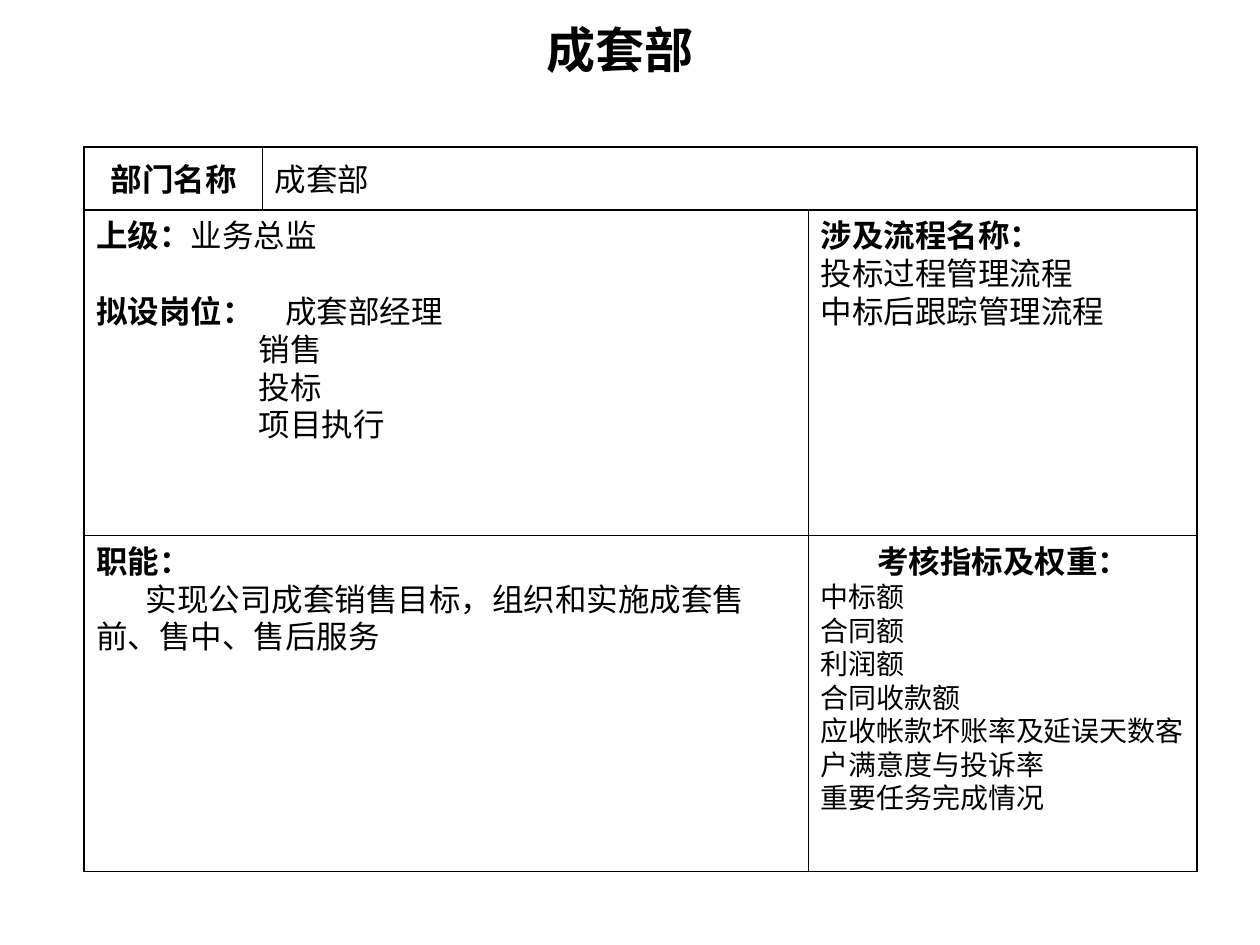
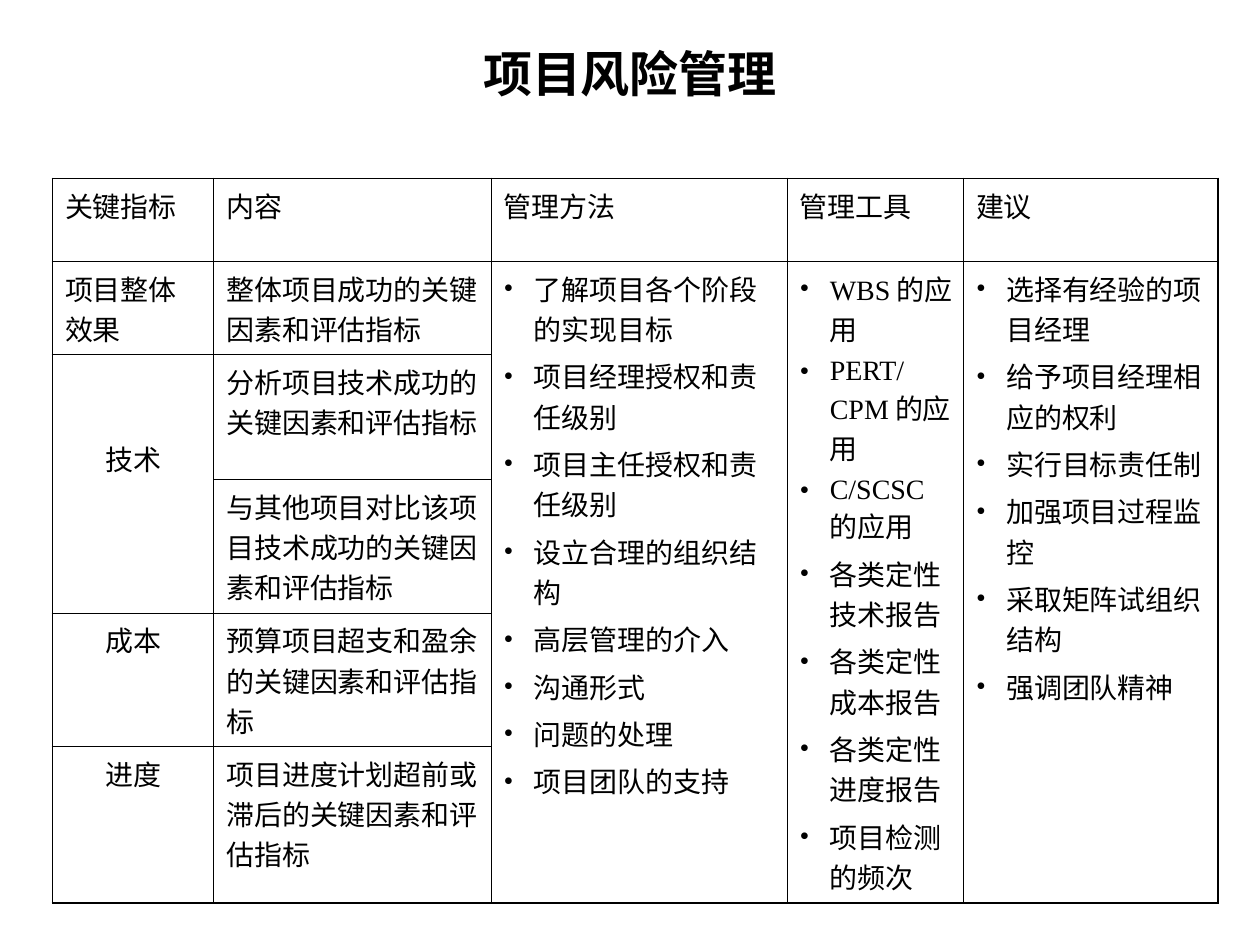
from lxml import etree
from pptx import Presentation
from pptx import util as u
from pptx.dml.color import RGBColor
from pptx.enum import shapes, text
from pptx.oxml import ns

Inches, Pt = u.Inches, u.Pt
BLACK = RGBColor(0, 0, 0)
WHITE = RGBColor(255, 255, 255)
SERIF, SANS = "Times New Roman", "Noto Sans CJK SC"
START, CENTER = text.PP_ALIGN.LEFT, text.PP_ALIGN.CENTER
TOP, MIDDLE = text.MSO_ANCHOR.TOP, text.MSO_ANCHOR.MIDDLE

DEPARTMENT_TITLE = ("成套部", SANS, (0.67, 0.1, 8.5, 0.57))
RISK_TITLE = ("项目风险管理", SERIF, (0.75, 0.33, 8.5, 0.5))

GRID = 1 / 12
LEFT, NAME_LEFT, SIDE_LEFT, RIGHT = (step * GRID for step in (8, 25, 77, 114))
CARD_TOP, BODY_TOP, DUTY_TOP, CARD_BOTTOM = (step * GRID for step in (14, 20, 51, 83))

POSITIONS = ["销售", "投标", "项目执行"]
PROCESSES = ["投标过程管理流程", "中标后跟踪管理流程"]
INDICATORS = ["中标额", "合同额", "利润额", "合同收款额",
              "应收帐款坏账率及延误天数客户满意度与投诉率", "重要任务完成情况"]

CARD_BOXES = [
    (LEFT, CARD_TOP, NAME_LEFT, BODY_TOP, MIDDLE,
     [{"runs": [("部门名称", True)], "align": CENTER}]),
    (NAME_LEFT, CARD_TOP, RIGHT, BODY_TOP, MIDDLE,
     [{"runs": [("成套部", False)]}]),
    (LEFT, DUTY_TOP, SIDE_LEFT, CARD_BOTTOM, TOP,
     [{"runs": [("职能：", True)]},
      {"runs": [("实现公司成套销售目标，组织和实施成套售前、售中、售后服务", False)],
       "indent": 0.39}]),
    (SIDE_LEFT, DUTY_TOP, RIGHT, CARD_BOTTOM, TOP,
     [{"runs": [("考核指标及权重：", True)], "align": CENTER}]
     + [{"runs": [(indicator, False)], "size": 16, "font": SANS} for indicator in INDICATORS]),
    (LEFT, BODY_TOP, SIDE_LEFT, DUTY_TOP, TOP,
     [{"runs": [("上级：", True), ("业务总监", False)]},
      {"runs": [("拟设岗位：", True), ("\t成套部经理", False)], "before": 21.7, "tab": 1.42}]
     + [{"runs": [(position, False)], "margin": 1.29} for position in POSITIONS]),
    (SIDE_LEFT, BODY_TOP, RIGHT, DUTY_TOP, TOP,
     [{"runs": [("涉及流程名称：", True)]}]
     + [{"runs": [(process, False)]} for process in PROCESSES]),
]

TABLE_LEFT, TABLE_TOP = 5 * GRID, 17 * GRID
COLUMN_WIDTHS = [1.28, 2.2, 2.35, 1.4, 2.02]
ROW_HEIGHTS = [0.66, 0.74, 0.99, 1.06, 1.06, 1.24]
HEADERS = ["关键指标", "内容", "管理方法", "管理工具", "建议"]
KEY_INDICATORS = {1: "项目整体效果", 2: "技术", 4: "成本", 5: "进度"}
CONTENTS = ["整体项目成功的关键因素和评估指标", "分析项目技术成功的关键因素和评估指标",
            "与其他项目对比该项目技术成功的关键因素和评估指标",
            "预算项目超支和盈余的关键因素和评估指标", "项目进度计划超前或滞后的关键因素和评估指标"]
BULLET_LISTS = {
    2: ["了解项目各个阶段的实现目标", "项目经理授权和责任级别", "项目主任授权和责任级别",
        "设立合理的组织结构", "高层管理的介入", "沟通形式", "问题的处理", "项目团队的支持"],
    3: ["WBS的应用", "PERT/CPM的应用", "C/SCSC的应用", "各类定性技术报告",
        "各类定性成本报告", "各类定性进度报告", "项目检测的频次"],
    4: ["选择有经验的项目经理", "给予项目经理相应的权利", "实行目标责任制",
        "加强项目过程监控", "采取矩阵试组织结构", "强调团队精神"],
}


def add_child(parent, tag, **attributes):
    return etree.SubElement(parent, ns.qn(tag), **attributes)


def add_run(paragraph, words, size, font=SERIF, bold=False):
    run = paragraph.add_run()
    run.text = words
    run.font.size = Pt(size)
    run.font.bold = bold
    run.font.color.rgb = BLACK
    run.font.name = font
    add_child(run.font._element, "a:ea", typeface=SANS)


def set_indent(paragraph, margin, indent):
    properties = paragraph._p.get_or_add_pPr()
    properties.set("marL", str(Inches(margin)))
    properties.set("indent", str(Inches(indent)))
    properties.set("hangingPunct", "0")
    return properties


def add_title(slide, words, font, place):
    frame = slide.shapes.add_textbox(*map(Inches, place)).text_frame
    frame.word_wrap = True
    frame.vertical_anchor = MIDDLE
    frame.paragraphs[0].alignment = CENTER
    add_run(frame.paragraphs[0], words, 28, font, True)


def add_box(slide, left, top, right, bottom):
    box = slide.shapes.add_shape(shapes.MSO_SHAPE.RECTANGLE, Inches(left), Inches(top),
                                 Inches(right - left), Inches(bottom - top))
    box.shadow.inherit = False
    box.fill.solid()
    box.fill.fore_color.rgb = WHITE
    box.line.color.rgb = BLACK
    box.line.width = Pt(0.75)
    return box


def fill_box(box, anchor, items):
    frame = box.text_frame
    frame.word_wrap = anchor == TOP
    frame.vertical_anchor = anchor
    frame.margin_right = Inches(0.09)
    for index, item in enumerate(items):
        paragraph = frame.add_paragraph() if index else frame.paragraphs[0]
        properties = set_indent(paragraph, item.get("margin", 0), item.get("indent", 0))
        if "tab" in item:
            tabs = add_child(properties, "a:tabLst")
            add_child(tabs, "a:tab", pos=str(Inches(item["tab"])), algn="l")
        paragraph.alignment = item.get("align", START)
        if "before" in item:
            paragraph.space_before = Pt(item["before"])
        for words, bold in item["runs"]:
            add_run(paragraph, words, item.get("size", 18), item.get("font", SERIF), bold)


def fill_cell(cell, words, align=START):
    paragraph = cell.text_frame.paragraphs[0]
    paragraph.alignment = align
    add_run(paragraph, words, 16)


def fill_bullets(cell, items):
    cell.margin_right = Inches(0.08)
    frame = cell.text_frame
    for index, words in enumerate(items):
        paragraph = frame.add_paragraph() if index else frame.paragraphs[0]
        properties = set_indent(paragraph, 0.24, -0.24)
        add_child(add_child(properties, "a:buClr"), "a:srgbClr", val=str(BLACK))
        add_child(properties, "a:buFont", typeface=SERIF)
        add_child(properties, "a:buChar", char="•")
        if index:
            paragraph.space_before = Pt(4)
        add_run(paragraph, words, 16)


def style_cell(cell, row, column):
    last_row, last_column = len(ROW_HEIGHTS) - 1, len(COLUMN_WIDTHS) - 1
    end_row = row + (cell.span_height - 1 if cell.is_merge_origin else 0)
    outer_edges = {"L": column == 0, "R": column == last_column,
                   "T": row == 0, "B": end_row == last_row}
    properties = cell._tc.get_or_add_tcPr()
    for side, outer in outer_edges.items():
        if cell.is_spanned and side in "TB" and not outer:
            continue
        line = add_child(properties, f"a:ln{side}", w=str(Pt(1.08 if outer else 0.45)))
        add_child(add_child(line, "a:solidFill"), "a:srgbClr", val=str(BLACK))
    cell.fill.background()


def build_department(slide):
    add_box(slide, LEFT, CARD_TOP, RIGHT, CARD_BOTTOM)
    add_title(slide, *DEPARTMENT_TITLE)
    for left, top, right, bottom, anchor, items in CARD_BOXES:
        fill_box(add_box(slide, left, top, right, bottom), anchor, items)


def build_risk(slide):
    add_title(slide, *RISK_TITLE)
    rows, columns = len(ROW_HEIGHTS), len(COLUMN_WIDTHS)
    table = slide.shapes.add_table(rows, columns, Inches(TABLE_LEFT), Inches(TABLE_TOP),
                                   Inches(sum(COLUMN_WIDTHS)), Inches(sum(ROW_HEIGHTS))).table
    table.first_row = table.horz_banding = False
    for column, width in zip(table.columns, COLUMN_WIDTHS):
        column.width = Inches(width)
    for row, height in zip(table.rows, ROW_HEIGHTS):
        row.height = Inches(height)
    table.cell(2, 0).merge(table.cell(3, 0))
    for column in BULLET_LISTS:
        table.cell(1, column).merge(table.cell(rows - 1, column))
    for row in range(rows):
        for column in range(columns):
            style_cell(table.cell(row, column), row, column)
    for column, header in enumerate(HEADERS):
        fill_cell(table.cell(0, column), header)
    for row, indicator in KEY_INDICATORS.items():
        fill_cell(table.cell(row, 0), indicator, CENTER if row > 1 else START)
    table.cell(2, 0).margin_top = Inches(0.66)
    for row, content in enumerate(CONTENTS, 1):
        fill_cell(table.cell(row, 1), content)
    for column, items in BULLET_LISTS.items():
        fill_bullets(table.cell(1, column), items)


def main():
    presentation = Presentation()
    presentation.slide_width, presentation.slide_height = Inches(10), Inches(7.5)
    for build in (build_department, build_risk):
        build(presentation.slides.add_slide(presentation.slide_layouts[6]))
    presentation.save("out.pptx")


if __name__ == "__main__":
    main()
